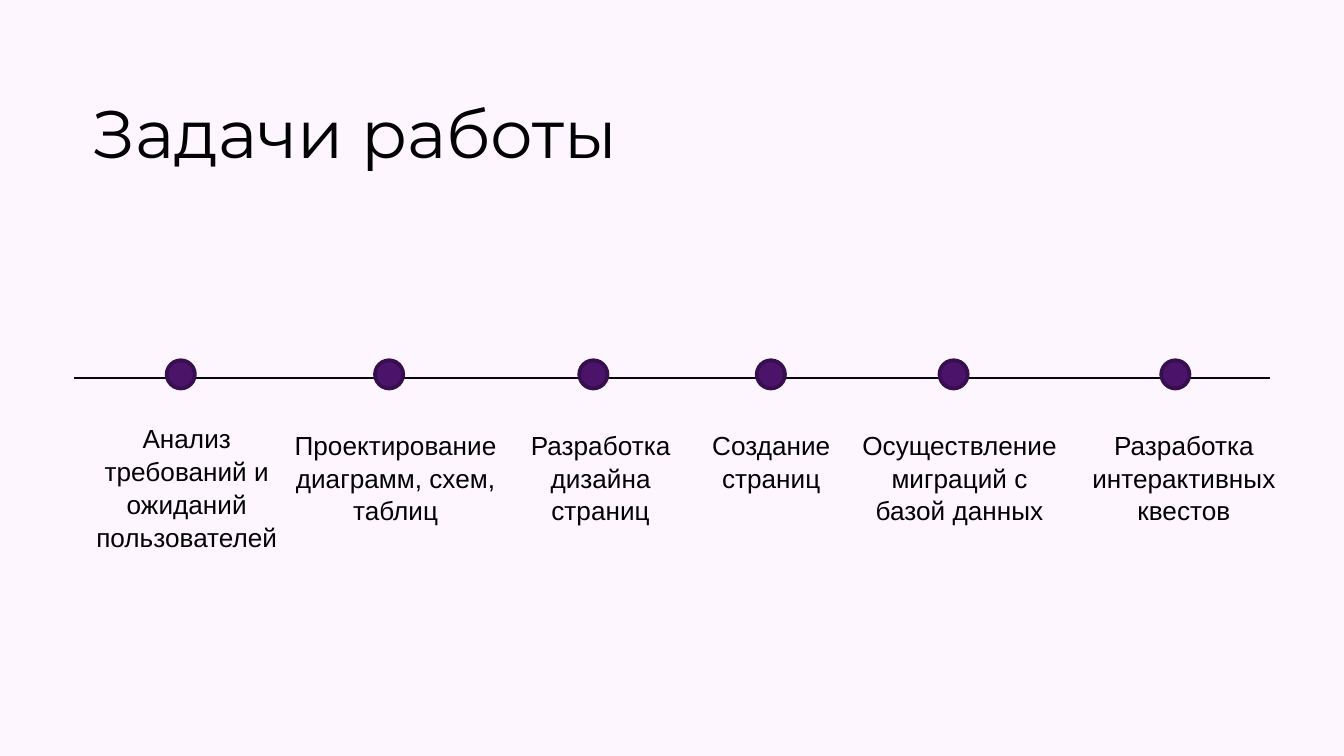
from lxml import etree
from pptx import Presentation
from pptx.dml.color import RGBColor as Rgb
from pptx.enum.shapes import MSO_CONNECTOR as Link, MSO_SHAPE as Kind
from pptx.enum.text import MSO_ANCHOR as Anchor, PP_ALIGN as Align
from pptx.oxml.ns import qn
from pptx.util import Pt

COLORS = {"back": "FDF6FF", "text": "000000", "axis": "080808",
          "dot": "4B1369", "rim": "370E4E"}

STEPS = [
    ("Анализ требований и ожиданий пользователей", 3.6, 106.6, 49.7, 54.6),
    ("Проектирование диаграмм, схем, таблиц", 109.4, 118.8, 161.3, 58.2),
    ("Разработка дизайна страниц", 227.5, 102.2, 270.7, 58.2),
    ("Создание страниц", 329, 82.1, 365.8, 58.2),
    ("Осуществление миграций с базой данных", 410.4, 121, 463.7, 58.2),
    ("Разработка интерактивных квестов", 529.9, 122.4, 582.5, 58.2),
]


def color(name):
    """Return the named colour."""
    return Rgb.from_string(COLORS[name])


def write(frame, text, size, font="Arial", align=Align.LEFT, pads=(7.2, 7.2, 0, 7.2), lead=1.0):
    """Fill a text frame with one formatted paragraph."""
    frame.word_wrap = True
    frame.vertical_anchor = Anchor.TOP
    (frame.margin_left, frame.margin_top,
     frame.margin_right, frame.margin_bottom) = map(Pt, pads)
    para = frame.paragraphs[0]
    para.alignment, para.line_spacing = align, lead
    run = para.add_run()
    run.text = text
    run.font.size, run.font.name = Pt(size), font
    run.font.color.rgb = color("text")


def add_title(slide, text, left, top, width, height):
    """Place and format the title placeholder."""
    title = slide.shapes.title
    title.left, title.top, title.width, title.height = map(Pt, (left, top, width, height))
    write(title.text_frame, text, 36, font="Montserrat", pads=(7.2, 5, 7.2, 5))


def add_axis(slide, left, y, width):
    """Draw the horizontal line of the timeline."""
    axis = slide.shapes.add_connector(Link.STRAIGHT, Pt(left), Pt(y), Pt(left + width), Pt(y))
    axis.line.color.rgb, axis.line.width = color("axis"), Pt(1)
    etree.SubElement(axis._element.spPr, qn("a:effectLst"))


def add_dot(slide, left, top, size):
    """Draw one round mark."""
    dot = slide.shapes.add_shape(Kind.OVAL, Pt(left), Pt(top), Pt(size), Pt(size))
    dot.shadow.inherit = False
    dot.fill.solid()
    dot.fill.fore_color.rgb = color("dot")
    dot.line.color.rgb, dot.line.width = color("rim"), Pt(2)


def add_line(slide, left, top, width, height):
    """Build the timeline: axis, dots and step labels."""
    add_axis(slide, left, top + 9.3, width)
    for text, x, wide, mark, drop in STEPS:
        box = slide.shapes.add_textbox(Pt(left + x), Pt(top + drop - 29.4),
                                       Pt(wide), Pt(height))
        write(box.text_frame, text, 14, align=Align.CENTER, lead=1.05)
        add_dot(slide, left + mark, top, 15.1)


def main():
    """Build and save the slide."""
    deck = Presentation()
    deck.slide_width, deck.slide_height = Pt(720), Pt(405)
    slide = deck.slides.add_slide(deck.slide_layouts[5])
    slide.background.fill.solid()
    slide.background.fill.fore_color.rgb = color("back")
    add_title(slide, "Задачи работы", 42.5, 43.9, 578.2, 64.1)
    add_line(slide, 39.6, 193, 640.8, 105.8)
    deck.save("out.pptx")


if __name__ == "__main__":
    main()
